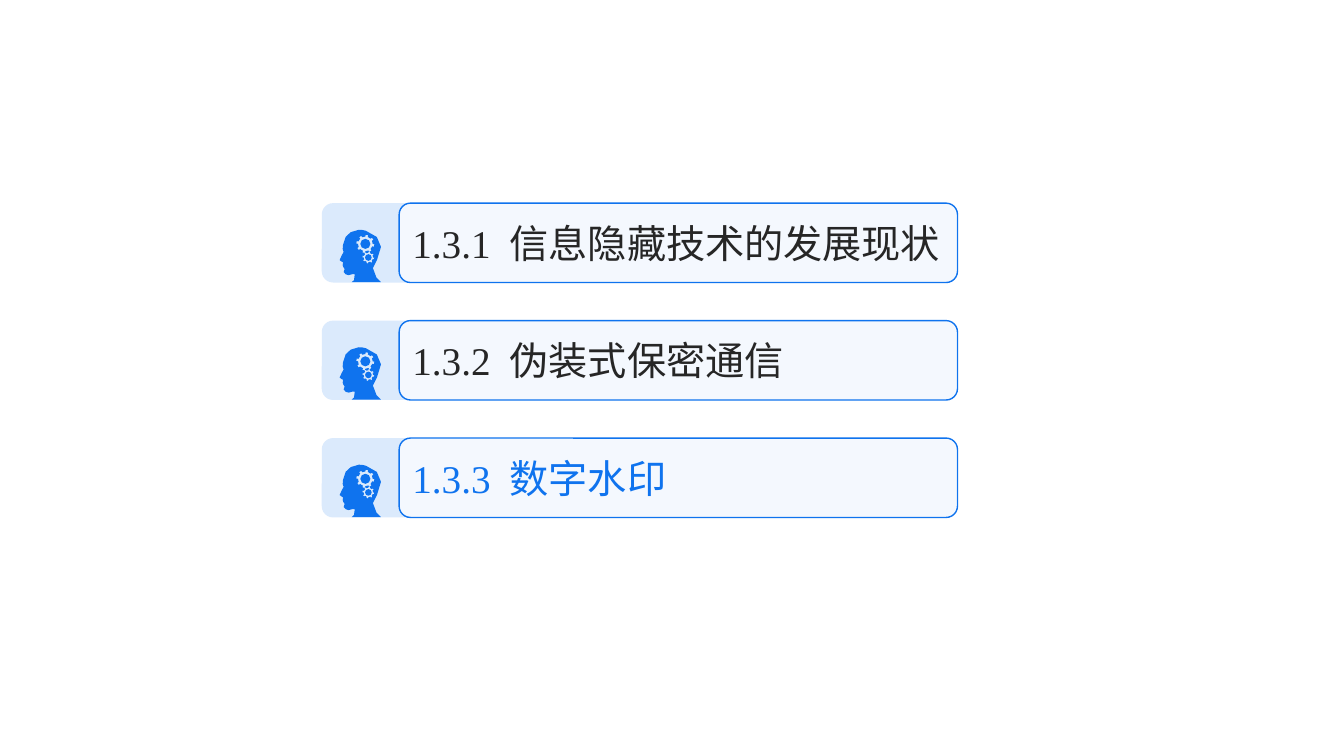
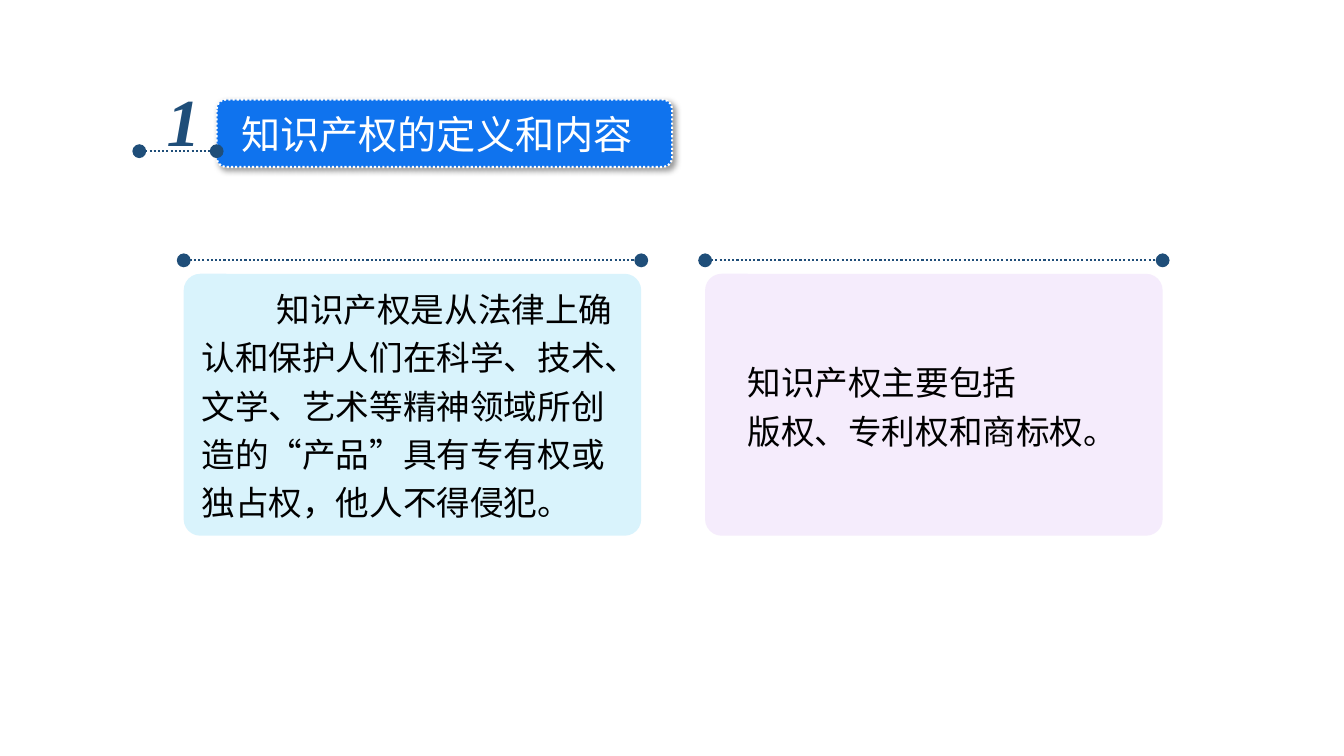
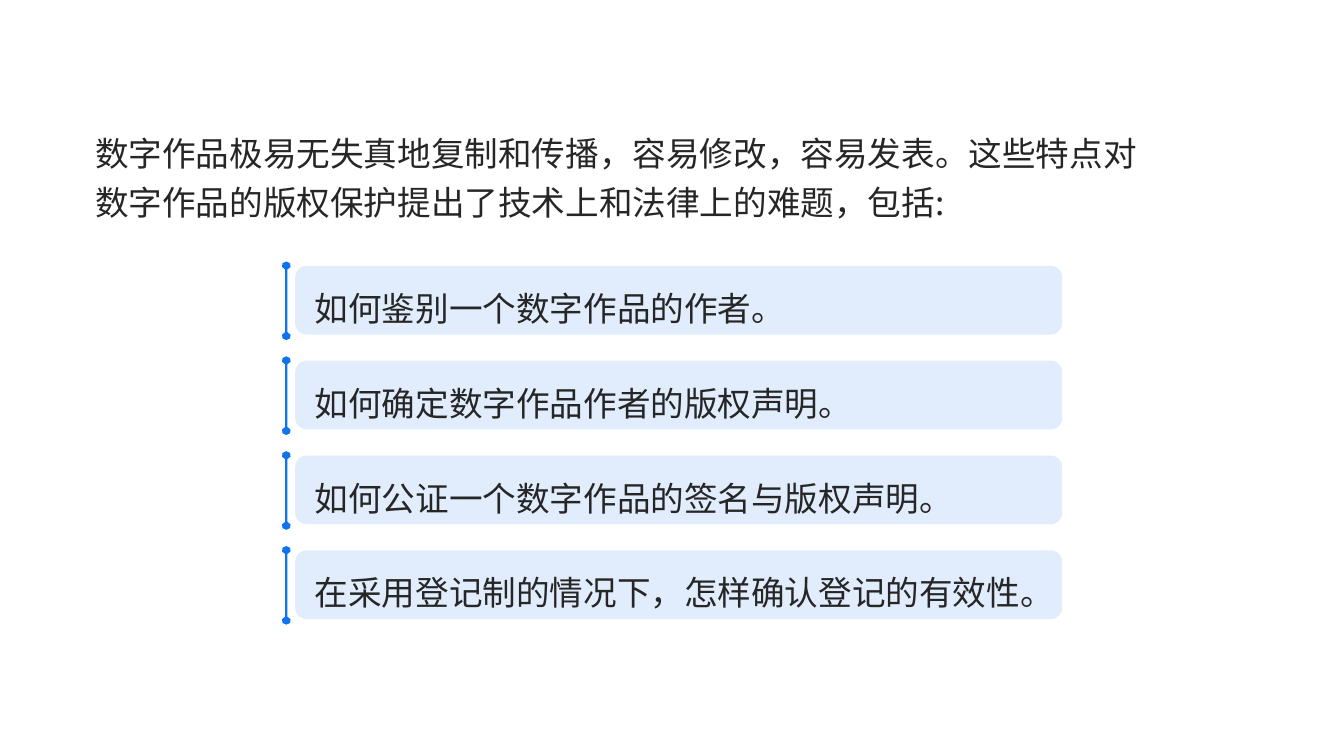
"""Build three slides on digital watermarks and copyright."""
from dataclasses import dataclass
from math import cos, radians, sin

from lxml.etree import SubElement as Sub
from pptx import Presentation
from pptx.dml.color import RGBColor as Rgb
from pptx.enum.dml import MSO_LINE as Dash
from pptx.enum.shapes import MSO_CONNECTOR as Link, MSO_SHAPE as Kind
from pptx.enum.text import MSO_ANCHOR as Anchor, PP_ALIGN as Align
from pptx.oxml.ns import qn
from pptx.util import Cm, Pt


@dataclass(frozen=True)
class Theme:
    """Colours, fonts and type sizes of the deck."""
    blue: str = "0F73EE"
    navy: str = "1F4E79"
    cyan: str = "00B0F0"
    lilac: str = "E3C9F7"
    white: str = "FFFFFF"
    black: str = "000000"
    ink: str = "262626"
    serif: str = "Times New Roman"
    sans: str = "Noto Sans CJK SC"
    body: int = 24
    head: int = 28
    mark: int = 48


T = Theme()
UNIT = Cm(0.0254)
HEAD = [
    [(21, 0), (23, 0), (26, 1)], [(35, 2), (41, 11), (41, 17)],
    [(41, 28), (33, 34), (33, 38)], [(32, 45), (41, 52), (41, 52)],
    [(41, 52), (12, 52), (12, 52)], [(12, 52), (17, 49), (15, 44)],
    [(14, 44), (11, 44), (9, 45)], [(7, 45), (5, 44), (4, 42)],
    [(4, 41), (5, 39), (5, 39)], [(4, 38), (3, 36), (3, 35)],
    [(4, 33), (3, 32), (3, 32)], [(3, 32), (0, 31), (0, 30)],
    [(0, 29), (4, 22), (4, 22)], [(4, 22), (3, 20), (3, 19)],
    [(3, 18), (3, 13), (6, 7)], [(8, 3), (13, 1), (19, 0)],
]


def arc(cx, cy, rx, ry, start=0, end=360, steps=8):
    """Return points along an elliptic arc."""
    turns = [radians(start + (end - start) * i / steps) for i in range(steps + 1)]
    return [(cx + rx * cos(t), cy + ry * sin(t)) for t in turns]


def curve(start, parts, steps=2):
    """Return points along a chain of cubic curves."""
    dots = [start]
    for b, c, d in parts:
        a = dots[-1]
        for i in range(1, steps + 1):
            t = i / steps
            s = 1 - t
            dots.append(tuple(
                s ** 3 * p + 3 * s * s * t * q + 3 * s * t * t * r + t ** 3 * e
                for p, q, r, e in zip(a, b, c, d)))
    return dots


def gear(cx, cy, root, tip, teeth=8):
    """Return the outline of a toothed wheel."""
    dots = []
    for i in range(teeth):
        for turn, size in ((-10, root), (-8, tip), (8, tip), (10, root)):
            t = radians(360 * i / teeth + turn + 10)
            dots.append((cx + size * cos(t), cy + size * sin(t)))
    return dots


ICON = [curve((19, 0), HEAD),
        gear(25.5, 14, 7.3, 9), arc(25.5, 14, 5, 5),
        gear(28.5, 27.5, 4.7, 5.9), arc(28.5, 27.5, 3.3, 3.3)]
PIN = [arc(4.5, 4, 4.5, 4, 75, -255, 6) + arc(4.5, 74, 4.5, 4, 255, -75, 6)]


def tint(item, hue, alpha=100):
    """Fill a shape with a colour of the given opacity."""
    item.fill.solid()
    item.fill.fore_color.rgb = Rgb.from_string(hue)
    if alpha < 100:
        tone = item.element.spPr.find(qn("a:solidFill"))[0]
        Sub(tone, qn("a:alpha"), val=str(alpha * 1000))


def draw(slide, rings, x, y, hue):
    """Draw closed outlines as one filled shape."""
    rings = [[(px * UNIT, py * UNIT) for px, py in ring] for ring in rings]
    pen = slide.shapes.build_freeform(*rings[0][0], scale=1.0)
    for i, ring in enumerate(rings):
        if i:
            pen.move_to(*ring[0])
        pen.add_line_segments(ring[1:], close=True)
    item = pen.convert_to_shape(Cm(x), Cm(y))
    tint(item, hue)
    item.line.fill.background()
    item.shadow.inherit = False


def panel(slide, x, y, w, h, hue, alpha=100, bend=0.167):
    """Add a rounded panel without a border."""
    item = slide.shapes.add_shape(Kind.ROUNDED_RECTANGLE, Cm(x), Cm(y), Cm(w), Cm(h))
    item.adjustments[0] = bend
    tint(item, hue, alpha)
    item.line.fill.background()
    item.shadow.inherit = False
    return item


def edge(item, hue, width, dash=None):
    """Set the line of a shape or connector."""
    item.line.color.rgb = Rgb.from_string(hue)
    item.line.width = Pt(width)
    if dash:
        item.line.dash_style = dash


def write(item, lines, size, hue, face=T.sans, gap=None, indent=0, tab=0,
          bold=None, wrap=True):
    """Write styled paragraphs into a shape."""
    frame = item.text_frame
    frame.word_wrap = wrap
    frame.text = "\n".join(lines)
    for para in frame.paragraphs:
        para.alignment = Align.LEFT
        if gap:
            para.line_spacing = gap
    for props in item.element.iter(qn("a:pPr")):
        if indent:
            props.set("indent", str(Cm(indent)))
        if tab:
            Sub(Sub(props, qn("a:tabLst")), qn("a:tab"), pos=str(Cm(tab)), algn="l")
    for para in frame.paragraphs:
        font = para.font
        font.name, font.size = face, Pt(size)
        font.bold = font.italic = bold
        font.color.rgb = Rgb.from_string(hue)
    for props in item.element.iter(qn("a:defRPr")):
        Sub(props, qn("a:ea"), typeface=T.sans)


def label(slide, x, y, w, h, lines, size, hue, **style):
    """Add a text box."""
    item = slide.shapes.add_textbox(Cm(x), Cm(y), Cm(w), Cm(h))
    write(item, lines, size, hue, **style)


def rule(slide, x, y, w):
    """Add a dotted line with a large dot at each end."""
    item = slide.shapes.add_connector(Link.STRAIGHT, Cm(x), Cm(y), Cm(x + w), Cm(y))
    edge(item, T.navy, 1.5, Dash.ROUND_DOT)
    props = item.element.spPr
    for end in ("a:headEnd", "a:tailEnd"):
        Sub(props.find(qn("a:ln")), qn(end), type="oval", w="lg", len="lg")
    Sub(props, qn("a:effectLst"))


def entry(slide, x, y, w, h, text, hue):
    """Add one agenda entry with its icon."""
    panel(slide, x, y, w, h, T.blue, 15, 0.143)
    draw(slide, ICON, x + 0.45, y + 0.67, T.blue)
    item = panel(slide, x + 1.95, y, w - 1.91, h, T.white, 70, 0.143)
    edge(item, T.blue, 1)
    item.text_frame.vertical_anchor = Anchor.MIDDLE
    write(item, [text], T.head, hue, face=T.serif, tab=2.45)


def banner(slide, x, y, w, h, mark, text):
    """Add a numbered heading with a shadowed panel."""
    item = panel(slide, x, y, w, h, T.blue, bend=0.137)
    edge(item, T.white, 1.5, Dash.ROUND_DOT)
    glow = Sub(item.element.spPr.find(qn("a:effectLst")), qn("a:outerShdw"),
               blurRad=str(Pt(4)), dist=str(Pt(3)), dir="2700000",
               algn="tl", rotWithShape="0")
    tone = Sub(glow, qn("a:srgbClr"), val=T.black)
    Sub(tone, qn("a:alpha"), val="40000")
    label(slide, x + 0.37, y + 0.15, w - 1, h - 0.26, [text], T.head, T.white, wrap=False)
    label(slide, x - 1.51, y - 0.64, 1.37, 2.31, [mark], T.mark, T.navy,
          face=T.serif, bold=True, wrap=False)
    rule(slide, x - 1.95, y + 1.3, 1.95)


def card(slide, x, y, w, h, hue, alpha):
    """Add a tinted card below a dotted rule."""
    rule(slide, x, y - 0.34, w)
    panel(slide, x, y, w, h, hue, alpha, 0.063)


def point(slide, x, y, w, h, text, span):
    """Add one question with a pin at its left."""
    panel(slide, x, y, w, h, T.blue, 12)
    draw(slide, PIN, x - 0.34, y - 0.11, T.blue)
    label(slide, x + 0.24, y - 0.08, span, h - 0.1, [text], T.body, T.ink, gap=1.5)


def agenda(slide):
    """Fill the agenda slide."""
    rows = [("1.3.1\t信息隐藏技术的发展现状", T.ink),
            ("1.3.2\t伪装式保密通信", T.ink),
            ("1.3.3\t数字水印", T.blue)]
    for i, (text, hue) in enumerate(rows):
        entry(slide, 8.11, 5.12 + 2.96 * i, 15.98, 2, text, hue)


def rights(slide):
    """Fill the slide on intellectual property."""
    banner(slide, 5.46, 2.51, 11.48, 1.7, "1", "知识产权的定义和内容")
    left, right, top = 4.63, 17.77, 6.9
    card(slide, left, top, 11.53, 6.6, T.cyan, 15)
    label(slide, left + 0.2, top + 0.05, 11.13, 6.32,
          ["知识产权是从法律上确认和保护人们在科学、技术、文学、艺术等精神领域所创造的“产品”具有专有权或独占权，他人不得侵犯。"],
          T.body, T.black, gap=1.2, indent=1.89)
    card(slide, right, top, 11.53, 6.6, T.lilac, 34)
    label(slide, right + 0.82, top + 1.9, 10.46, 2.64,
          ["知识产权主要包括", "版权、专利权和商标权。"], T.body, T.black, gap=1.2)


def issues(slide):
    """Fill the slide on copyright problems."""
    label(slide, 2.15, 3.03, 27.53, 2.64,
          ["数字作品极易无失真地复制和传播，容易修改，容易发表。这些特点对数字作品的版权保护提出了技术上和法律上的难题，包括:"],
          T.body, T.ink, gap=1.2)
    rows = [("如何鉴别一个数字作品的作者。", 16.64),
            ("如何确定数字作品作者的版权声明。", 16.64),
            ("如何公证一个数字作品的签名与版权声明。", 16.64),
            ("在采用登记制的情况下，怎样确认登记的有效性。", 19.33)]
    for i, (text, span) in enumerate(rows):
        point(slide, 7.44, 6.7 + 2.39 * i, 19.33, 1.73, text, span)


def main():
    """Build and save the deck."""
    deck = Presentation()
    deck.slide_width, deck.slide_height = Cm(33.87), Cm(19.05)
    for fill in (agenda, rights, issues):
        fill(deck.slides.add_slide(deck.slide_layouts[6]))
    deck.save("out.pptx")


if __name__ == "__main__":
    main()
